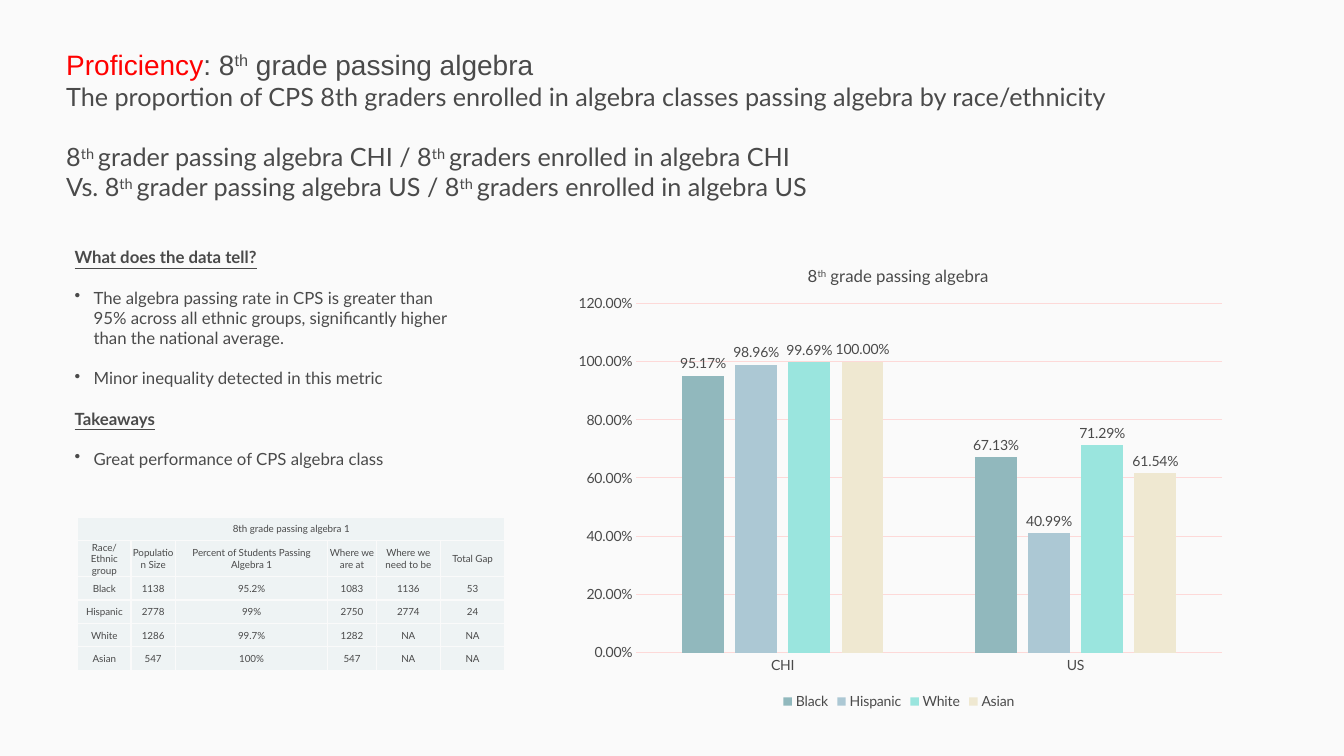
from lxml import etree
from pptx import Presentation
from pptx.chart.data import CategoryChartData
from pptx.dml.color import RGBColor
from pptx.enum.chart import XL_CHART_TYPE, XL_LABEL_POSITION, XL_LEGEND_POSITION, XL_TICK_MARK
from pptx.enum.text import MSO_ANCHOR, PP_ALIGN
from pptx.oxml import parse_xml
from pptx.oxml.ns import nsdecls, qn
from pptx.util import Cm, Pt

COLUMNS = XL_CHART_TYPE.COLUMN_CLUSTERED
OUTSIDE_END = XL_LABEL_POSITION.OUTSIDE_END
BOTTOM = XL_LEGEND_POSITION.BOTTOM
NO_TICK = XL_TICK_MARK.NONE
MIDDLE = MSO_ANCHOR.MIDDLE
CENTER = PP_ALIGN.CENTER

# Content: text between ^ marks is superscript
HEADLINE_LEAD = "Proficiency"
HEADLINE = ": 8^th^ grade passing algebra"
DEFINITIONS = [  # text, space before in points
    ("The proportion of CPS 8th graders enrolled in algebra classes passing algebra by race/ethnicity", 0),
    ("8^th ^grader passing algebra CHI / 8^th ^graders enrolled in algebra CHI", 21.6),
    ("Vs. 8^th ^grader passing algebra US / 8^th ^graders enrolled in algebra US", 0),
]
FINDINGS = [
    ("What does the data tell?", [
        "The algebra passing rate in CPS is greater than 95% across all ethnic groups, "
        "significantly higher than the national average.",
        "Minor inequality detected in this metric",
    ]),
    ("Takeaways", ["Great performance of CPS algebra class"]),
]
TABLE_TITLE = "8th grade passing algebra 1"
TABLE_ROWS = [
    ("Race/Ethnic group", "Population Size", "Percent of Students Passing Algebra 1",
     "Where we are at", "Where we need to be", "Total Gap"),
    ("Black", "1138", "95.2%", "1083", "1136", "53"),
    ("Hispanic", "2778", "99%", "2750", "2774", "24"),
    ("White", "1286", "99.7%", "1282", "NA", "NA"),
    ("Asian", "547", "100%", "547", "NA", "NA"),
]
COLUMN_WIDTHS = [1.34, 1.12, 3.84, 1.22, 1.62, 1.62]
ROW_HEIGHT = 0.59
CHART_TITLE = "8^th^ grade passing algebra"
REGIONS = ["CHI", "US"]
PASSING = [
    ("Black", (0.9517, 0.6713), "91B8BD"),
    ("Hispanic", (0.9896, 0.4099), "ACC8D4"),
    ("White", (0.9969, 0.7129), "9AE5DE"),
    ("Asian", (1, 0.6154), "EFE8D1"),
]
THEME = {
    "background": "FAFAFA", "text": "4A4A4A", "accent": "FF0000",
    "cell": "EEF3F4", "grid": "FDD9D8",
    "head_font": "Arial", "font": "Lato",
    "headline": 20, "definition": 18, "body": 12, "chart": 10, "table": 7,
}


def rgb(name):
    return RGBColor.from_string(THEME[name])


def style(font, size, face="font"):
    font.name, font.size, font.color.rgb = THEME[face], Pt(THEME[size]), rgb("text")


def add_marked(paragraph, text):
    for i, part in enumerate(text.split("^")):
        run = paragraph.add_run()
        run.text = part
        if i % 2:
            run.font._element.set("baseline", "30000")


def add_box(slide, left, top, width, height):
    frame = slide.shapes.add_textbox(Cm(left), Cm(top), Cm(width), Cm(height)).text_frame
    frame.word_wrap = True
    return frame


def add_headline(slide):
    frame = add_box(slide, 1.42, 1.07, 31.04, 4.95)
    headline = frame.paragraphs[0]
    lead = headline.add_run()
    lead.text = HEADLINE_LEAD
    lead.font.color.rgb = rgb("accent")
    add_marked(headline, HEADLINE)
    style(headline.font, "headline", "head_font")
    for text, gap in DEFINITIONS:
        line = frame.add_paragraph()
        add_marked(line, text)
        line.space_before = Pt(gap)
        style(line.font, "definition")


def add_findings(slide):
    frame = add_box(slide, 1.63, 6.1, 10.31, 5.89)
    lines = [(text, i > 0) for heading, points in FINDINGS
             for i, text in enumerate([heading, *points])]
    for i, (text, is_point) in enumerate(lines):
        line = frame.add_paragraph() if i else frame.paragraphs[0]
        line.text = text
        if is_point:
            props = line._p.get_or_add_pPr()
            props.set("marL", str(Cm(0.48)))
            props.set("indent", str(-Cm(0.48)))
            etree.SubElement(props, qn("a:buChar")).set("char", "•")
        if i:
            line.space_before = Pt(14.4)
        style(line.font, "body")
        line.font.bold = line.font.underline = not is_point


def fill_cell(cell, text):
    cell.text = text
    cell.vertical_anchor = MIDDLE
    cell.margin_left = cell.margin_right = cell.margin_top = Cm(0.02)
    cell.margin_bottom = 0
    label = cell.text_frame.paragraphs[0]
    label.alignment = CENTER
    style(label.font, "table")
    for side in ("lnL", "lnR", "lnT", "lnB"):
        cell._tc.get_or_add_tcPr().append(parse_xml(
            f'<a:{side} {nsdecls("a")} w="{Pt(1)}"><a:solidFill>'
            f'<a:srgbClr val="{THEME["background"]}"/></a:solidFill></a:{side}>'))
    cell.fill.solid()
    cell.fill.fore_color.rgb = rgb("cell")


def add_gap_table(slide):
    rows = [(TABLE_TITLE,) + ("",) * (len(COLUMN_WIDTHS) - 1)] + TABLE_ROWS
    table = slide.shapes.add_table(
        len(rows), len(COLUMN_WIDTHS), Cm(1.96), Cm(13.03),
        Cm(sum(COLUMN_WIDTHS)), Cm(ROW_HEIGHT * len(rows))).table
    table.first_row = table.horz_banding = False
    for column, width in zip(table.columns, COLUMN_WIDTHS):
        column.width = Cm(width)
    for r, texts in enumerate(rows):
        table.rows[r].height = Cm(ROW_HEIGHT)
        for c, text in enumerate(texts):
            fill_cell(table.cell(r, c), text)
    table.cell(0, 0).merge(table.cell(0, len(COLUMN_WIDTHS) - 1))


def manual_layout(target, **fractions):
    """Place a chart part at fractions of the chart's size."""
    inner = '<c:layoutTarget val="inner"/>' if "w" in fractions else ""
    modes = '<c:xMode val="edge"/><c:yMode val="edge"/>'
    places = "".join(f'<c:{key} val="{value}"/>' for key, value in fractions.items())
    for old in target.findall(qn("c:layout")):
        target.remove(old)
    position = 1 if target.find(qn("c:tx")) is not None else 0
    target.insert(position, parse_xml(
        f'<c:layout {nsdecls("c")}><c:manualLayout>{inner}{modes}{places}'
        '</c:manualLayout></c:layout>'))


def add_passing_chart(slide):
    data = CategoryChartData(number_format="0.00%")
    data.categories = REGIONS
    for group, rates, _ in PASSING:
        data.add_series(group, rates)
    chart = slide.shapes.add_chart(
        COLUMNS, Cm(14.17), Cm(6.1), Cm(16.97), Cm(11.89), data).chart
    style(chart.font, "chart")

    # Title and plot placement
    title = chart.chart_title.text_frame.paragraphs[0]
    add_marked(title, CHART_TITLE)
    style(title.font, "body")
    title.font.bold = False
    manual_layout(chart.chart_title._element, x=0.36, y=0.04)
    manual_layout(chart._chartSpace.chart.plotArea, x=0.11, y=0.13, w=0.87, h=0.74)

    # Columns
    plot = chart.plots[0]
    plot.gap_width, plot.overlap, plot.vary_by_categories = 219, -27, False
    for series, (_, _, color) in zip(plot.series, PASSING):
        series.format.fill.solid()
        series.format.fill.fore_color.rgb = RGBColor.from_string(color)
        labels = series.data_labels
        labels.show_value = True
        labels.position = OUTSIDE_END
        labels.number_format, labels.number_format_is_linked = "0.00%", False
        style(labels.font, "chart")

    # Axes and legend
    rates, regions = chart.value_axis, chart.category_axis
    rates.minimum_scale, rates.maximum_scale, rates.major_unit = 0, 1.2, 0.2
    rates.tick_labels.number_format = "0.00%"
    rates.tick_labels.number_format_is_linked = False
    for axis in (rates, regions):
        axis.major_tick_mark = axis.minor_tick_mark = NO_TICK
        style(axis.tick_labels.font, "chart")
    rates.format.line.fill.background()
    for line in (rates.major_gridlines.format.line, regions.format.line):
        line.color.rgb, line.width = rgb("grid"), Pt(0.75)
    chart.has_legend = True
    chart.legend.position, chart.legend.include_in_layout = BOTTOM, False
    style(chart.legend.font, "chart")


def main():
    deck = Presentation()
    deck.slide_width, deck.slide_height = Cm(33.87), Cm(19.05)
    slide = deck.slides.add_slide(deck.slide_layouts[6])
    slide.background.fill.solid()
    slide.background.fill.fore_color.rgb = rgb("background")
    add_headline(slide)
    add_passing_chart(slide)
    add_findings(slide)
    add_gap_table(slide)
    deck.save("out.pptx")


if __name__ == "__main__":
    main()
